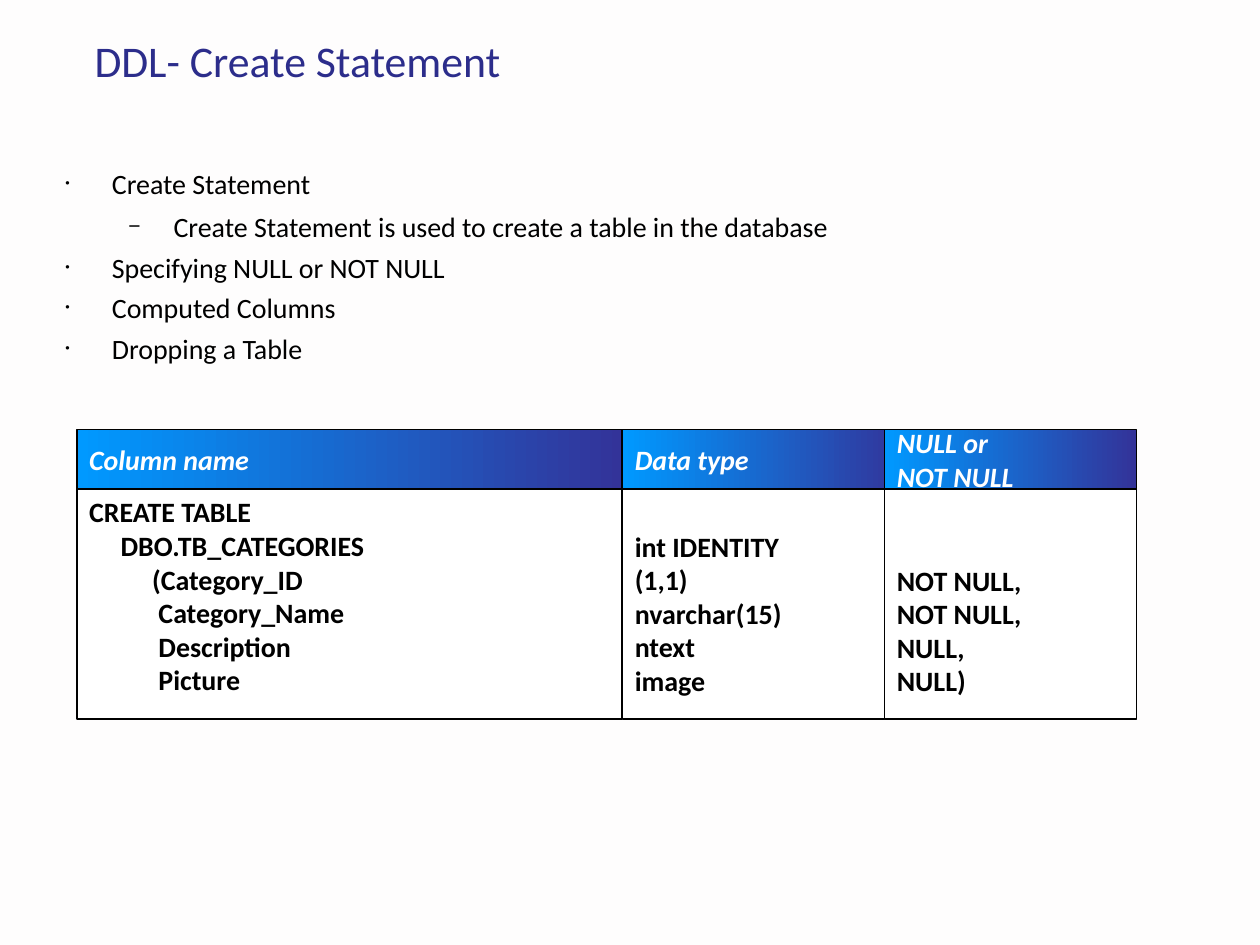
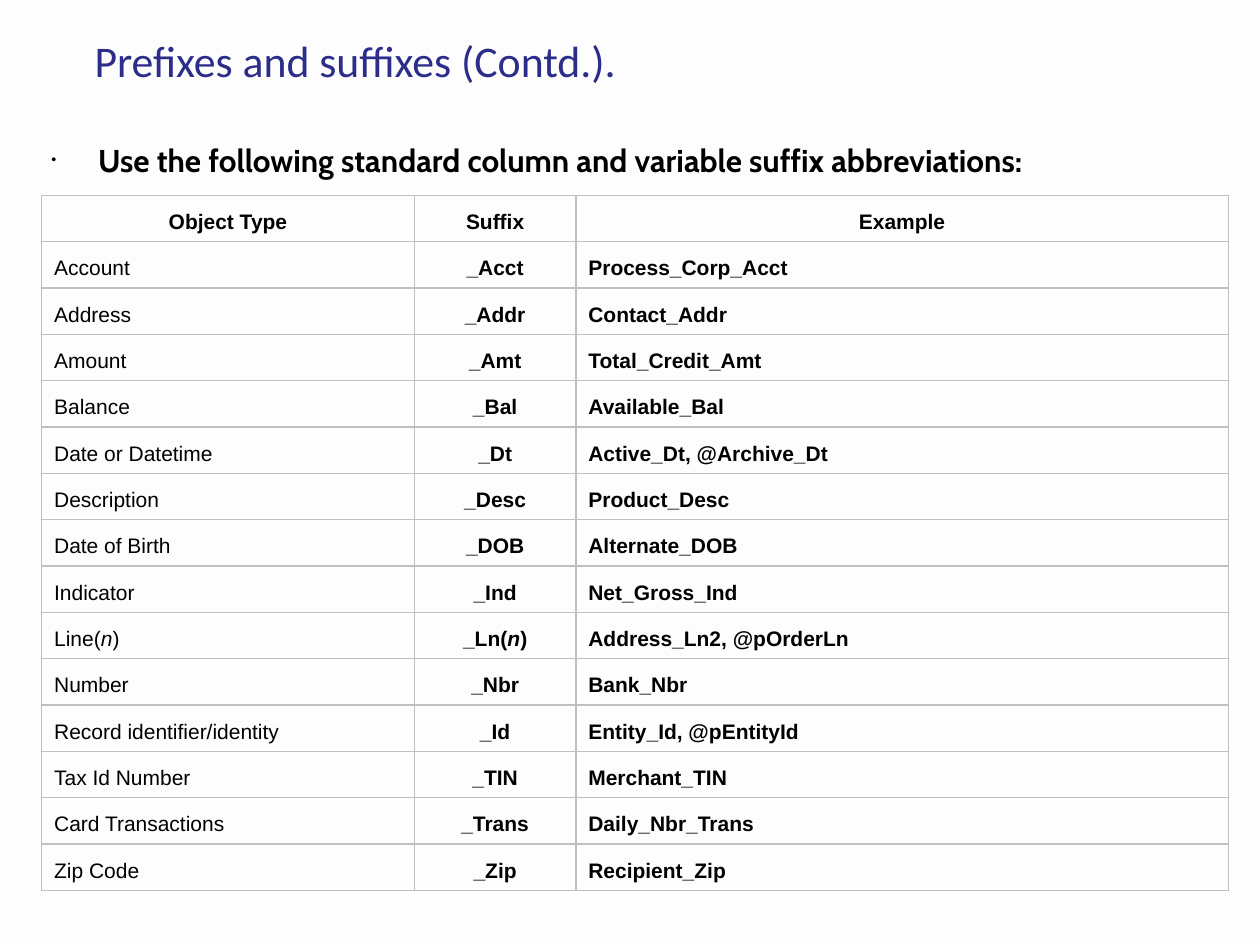
from dataclasses import dataclass

from lxml.etree import SubElement
from pptx import Presentation
from pptx.dml.color import RGBColor
from pptx.enum.shapes import MSO_SHAPE
from pptx.enum.text import MSO_ANCHOR, MSO_AUTO_SIZE, PP_ALIGN
from pptx.oxml.ns import qn
from pptx.util import Inches, Pt

BACKGROUND = "FEFDFD"
TITLE_BLUE = "2C2D8B"
BLACK = "000000"
WHITE = "FFFFFF"
HEADER_GRADIENT = ("0099FF", "333399")
GRID_GREY = "C0C0C0"

HEADER_TOP, HEADER_HEIGHT = 3.41, 0.47
BODY_HEIGHT = 1.83
CODE_LINE = 0.27


@dataclass(frozen=True)
class BulletStyle:
    char: str
    size_percent: int
    margin: float
    hanging: float
    space_before: float


BULLET_STYLES = (
    BulletStyle("•", 45, 0.37, 0.37, 4),
    BulletStyle("−", 75, 0.86, 0.36, 5.6),
)


@dataclass(frozen=True)
class Bullet:
    text: str
    level: int = 0


@dataclass(frozen=True)
class CodeColumn:
    left: float
    header_width: float
    body_width: float
    header: str
    lines: tuple[str, ...]
    indents: tuple[float, ...]
    skipped_lines: int


STATEMENT_TOPICS = (
    Bullet("Create Statement"),
    Bullet("Create Statement is used to create a table in the database", 1),
    Bullet("Specifying NULL or NOT NULL"),
    Bullet("Computed Columns"),
    Bullet("Dropping a Table"),
)

CODE_COLUMNS = (
    CodeColumn(
        0.61, 4.33, 4.33, "Column name",
        ("CREATE TABLE", "DBO.TB_CATEGORIES", "(Category_ID",
         "Category_Name", "Description", "Picture"),
        (0, 0.25, 0.5, 0.55, 0.55, 0.55), 0,
    ),
    CodeColumn(
        4.94, 2.25, 2.16, "Data type",
        ("int IDENTITY", "(1,1)", "nvarchar(15)", "ntext", "image"),
        (0,) * 5, 1,
    ),
    CodeColumn(
        7.02, 2, 2, "NULL or\nNOT NULL",
        ("NOT NULL,", "NOT NULL,", "NULL,", "NULL)"),
        (0,) * 4, 2,
    ),
)

SUFFIX_COLUMN_WIDTHS = (2.96, 1.28, 5.18)
SUFFIX_TABLE_HEIGHT = 5.52
SUFFIX_ROWS = (
    ("Object Type", "Suffix", "Example"),
    ("Account", "_Acct", "Process_Corp_Acct"),
    ("Address", "_Addr", "Contact_Addr"),
    ("Amount", "_Amt", "Total_Credit_Amt"),
    ("Balance", "_Bal", "Available_Bal"),
    ("Date or Datetime", "_Dt", "Active_Dt, @Archive_Dt"),
    ("Description", "_Desc", "Product_Desc"),
    ("Date of Birth", "_DOB", "Alternate_DOB"),
    ("Indicator", "_Ind", "Net_Gross_Ind"),
    ("Line(n)", "_Ln(n)", "Address_Ln2, @pOrderLn"),
    ("Number", "_Nbr", "Bank_Nbr"),
    ("Record identifier/identity", "_Id", "Entity_Id, @pEntityId"),
    ("Tax Id Number", "_TIN", "Merchant_TIN"),
    ("Card Transactions", "_Trans", "Daily_Nbr_Trans"),
    ("Zip Code", "_Zip", "Recipient_Zip"),
)


def rgb(hex_color: str) -> RGBColor:
    return RGBColor.from_string(hex_color)


def format_runs(paragraph, size: float, color: str, font: str = "Calibri",
                bold: bool = False, italic: bool = False) -> None:
    for run in paragraph.runs:
        run.font.name = font
        run.font.size = Pt(size)
        run.font.bold = bold
        run.font.italic = italic
        run.font.color.rgb = rgb(color)


def add_titled_slide(prs, heading: str):
    slide = prs.slides.add_slide(prs.slide_layouts[5])
    title = slide.shapes.title
    title.left, title.top = Inches(0.75), Inches(0.27)
    title.width, title.height = Inches(6.21), Inches(0.42)
    frame = title.text_frame
    frame.text = heading
    frame.margin_left = frame.margin_right = 0
    frame.margin_top = frame.margin_bottom = 0
    frame.vertical_anchor = MSO_ANCHOR.TOP
    frame.auto_size = MSO_AUTO_SIZE.SHAPE_TO_FIT_TEXT
    frame.paragraphs[0].alignment = PP_ALIGN.LEFT
    format_runs(frame.paragraphs[0], 25, TITLE_BLUE)
    return slide


def apply_bullet(paragraph, level: int) -> None:
    style = BULLET_STYLES[level]
    paragraph.level = level
    paragraph.space_before = Pt(style.space_before)
    properties = paragraph._p.get_or_add_pPr()
    properties.set("marL", str(Inches(style.margin)))
    properties.set("indent", str(-Inches(style.hanging)))
    SubElement(properties, qn("a:buSzPct"), val=str(style.size_percent * 1000))
    SubElement(properties, qn("a:buFont"), typeface="Arial")
    SubElement(properties, qn("a:buChar"), char=style.char)


def add_bullets(slide, left: float, top: float, height: float,
                bullets: tuple[Bullet, ...], size: float,
                font: str = "Calibri", bold: bool = False) -> None:
    box = slide.shapes.add_textbox(
        Inches(left), Inches(top), Inches(9), Inches(height))
    frame = box.text_frame
    frame.word_wrap = True
    frame.text = "\n".join(bullet.text for bullet in bullets)
    for paragraph, bullet in zip(frame.paragraphs, bullets):
        apply_bullet(paragraph, bullet.level)
        format_runs(paragraph, size, BLACK, font, bold)


def add_code_box(slide, left: float, top: float, width: float, height: float,
                 text: str, color: str, anchor: MSO_ANCHOR,
                 italic: bool = False):
    """Add an outlined rectangle of bold text; its fill is left to the caller."""
    box = slide.shapes.add_shape(
        MSO_SHAPE.RECTANGLE,
        Inches(left), Inches(top), Inches(width), Inches(height))
    box.shadow.inherit = False
    box.line.color.rgb = rgb(BLACK)
    box.line.width = Pt(1)
    frame = box.text_frame
    frame.word_wrap = False
    frame.vertical_anchor = anchor
    frame.text = text
    for paragraph in frame.paragraphs:
        paragraph.alignment = PP_ALIGN.LEFT
        format_runs(paragraph, 16, color, bold=True, italic=italic)
    return box


def add_code_header(slide, column: CodeColumn) -> None:
    header = add_code_box(
        slide, column.left, HEADER_TOP, column.header_width, HEADER_HEIGHT,
        column.header, WHITE, MSO_ANCHOR.MIDDLE, italic=True)
    header.fill.gradient()
    header.fill.gradient_angle = 0
    for stop, color in zip(header.fill.gradient_stops, HEADER_GRADIENT):
        stop.color.rgb = rgb(color)


def add_code_body(slide, column: CodeColumn) -> None:
    body = add_code_box(
        slide, column.left, HEADER_TOP + HEADER_HEIGHT, column.body_width,
        BODY_HEIGHT, "\n".join(column.lines), BLACK, MSO_ANCHOR.TOP)
    body.fill.solid()
    body.fill.fore_color.rgb = rgb(WHITE)
    frame = body.text_frame
    frame.margin_top = Inches(0.05 + CODE_LINE * column.skipped_lines)
    for paragraph, indent in zip(frame.paragraphs, column.indents):
        paragraph._p.get_or_add_pPr().set("marL", str(Inches(indent)))


def set_cell_borders(cell) -> None:
    properties = cell._tc.get_or_add_tcPr()
    for position, side in enumerate(("a:lnL", "a:lnR", "a:lnT", "a:lnB")):
        border = SubElement(properties, qn(side), w=str(Pt(0.96)))
        fill = SubElement(border, qn("a:solidFill"))
        SubElement(fill, qn("a:srgbClr"), val=GRID_GREY)
        properties.insert(position, border)


def fill_suffix_cell(cell, text: str, bold: bool, centred: bool) -> None:
    """Write a cell, with the placeholder n of "(n)" in italics."""
    cell.fill.background()
    cell.vertical_anchor = MSO_ANCHOR.MIDDLE
    set_cell_borders(cell)
    paragraph = cell.text_frame.paragraphs[0]
    paragraph.alignment = PP_ALIGN.CENTER if centred else PP_ALIGN.LEFT
    paragraph.line_spacing = 1.32
    numbered = text.endswith("(n)")
    parts = (text[:-2], "n", ")") if numbered else (text,)
    for part in parts:
        paragraph.add_run().text = part
    format_runs(paragraph, 12, BLACK, "Arial", bold)
    if numbered:
        paragraph.runs[1].font.italic = True


def add_suffix_table(slide) -> None:
    table = slide.shapes.add_table(
        len(SUFFIX_ROWS), len(SUFFIX_COLUMN_WIDTHS),
        Inches(0.33), Inches(1.55),
        Inches(sum(SUFFIX_COLUMN_WIDTHS)), Inches(SUFFIX_TABLE_HEIGHT)).table
    table.first_row = table.horz_banding = False
    for column, width in zip(table.columns, SUFFIX_COLUMN_WIDTHS):
        column.width = Inches(width)
    for row_index, texts in enumerate(SUFFIX_ROWS):
        is_header = row_index == 0
        for column_index, text in enumerate(texts):
            fill_suffix_cell(
                table.cell(row_index, column_index), text,
                bold=is_header or column_index > 0,
                centred=is_header or column_index == 1)


def build_create_statement(prs) -> None:
    slide = add_titled_slide(prs, "DDL- Create Statement")
    add_bullets(slide, 0.42, 1.27, 5.5, STATEMENT_TOPICS, 16)
    for add_part in (add_code_header, add_code_body):
        for column in CODE_COLUMNS:
            add_part(slide, column)


def build_suffixes(prs) -> None:
    slide = add_titled_slide(prs, "Prefixes and suffixes (Contd.).")
    add_suffix_table(slide)
    instruction = Bullet(
        "Use the following standard column and variable suffix abbreviations:")
    add_bullets(slide, 0.31, 1.07, 0.35, (instruction,), 18, "Cabin", True)


def main() -> None:
    prs = Presentation()
    prs.slide_width, prs.slide_height = Inches(10), Inches(7.5)
    background = prs.slide_master.background.fill
    background.solid()
    background.fore_color.rgb = rgb(BACKGROUND)
    build_create_statement(prs)
    build_suffixes(prs)
    prs.save("out.pptx")


if __name__ == "__main__":
    main()
